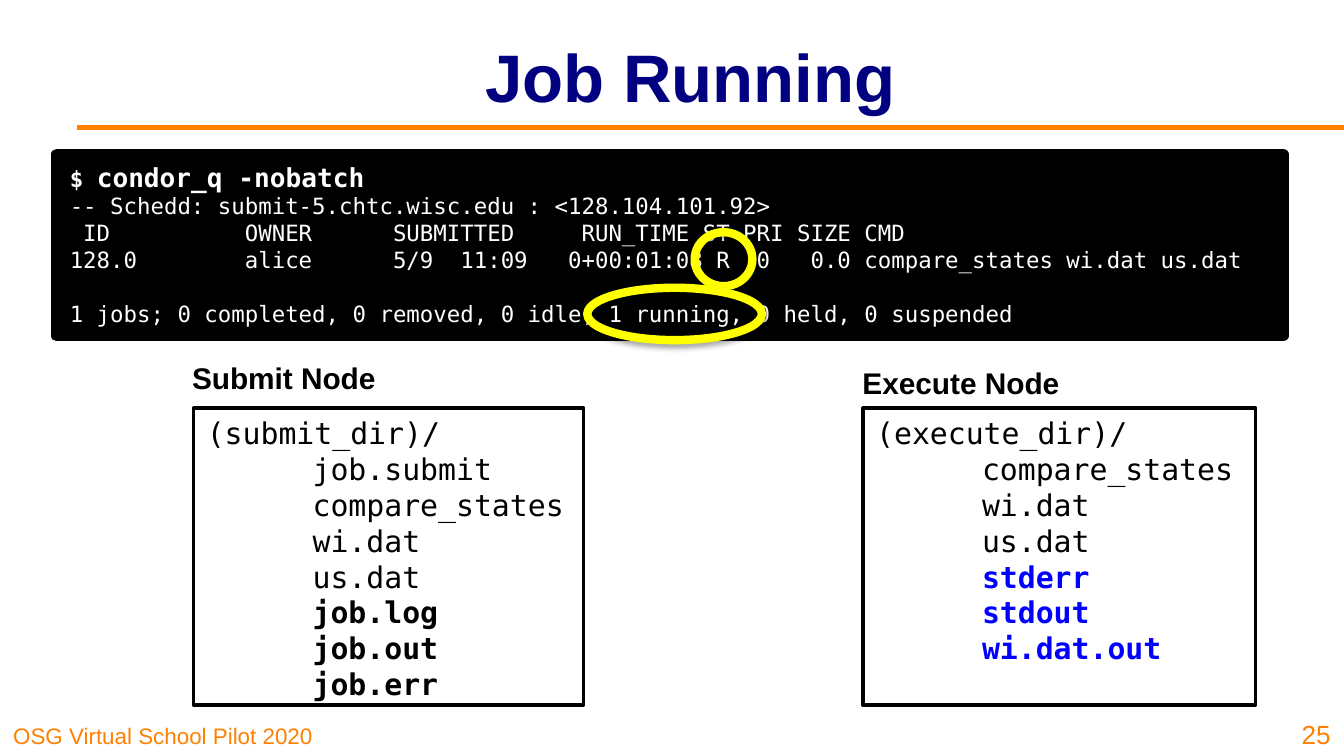
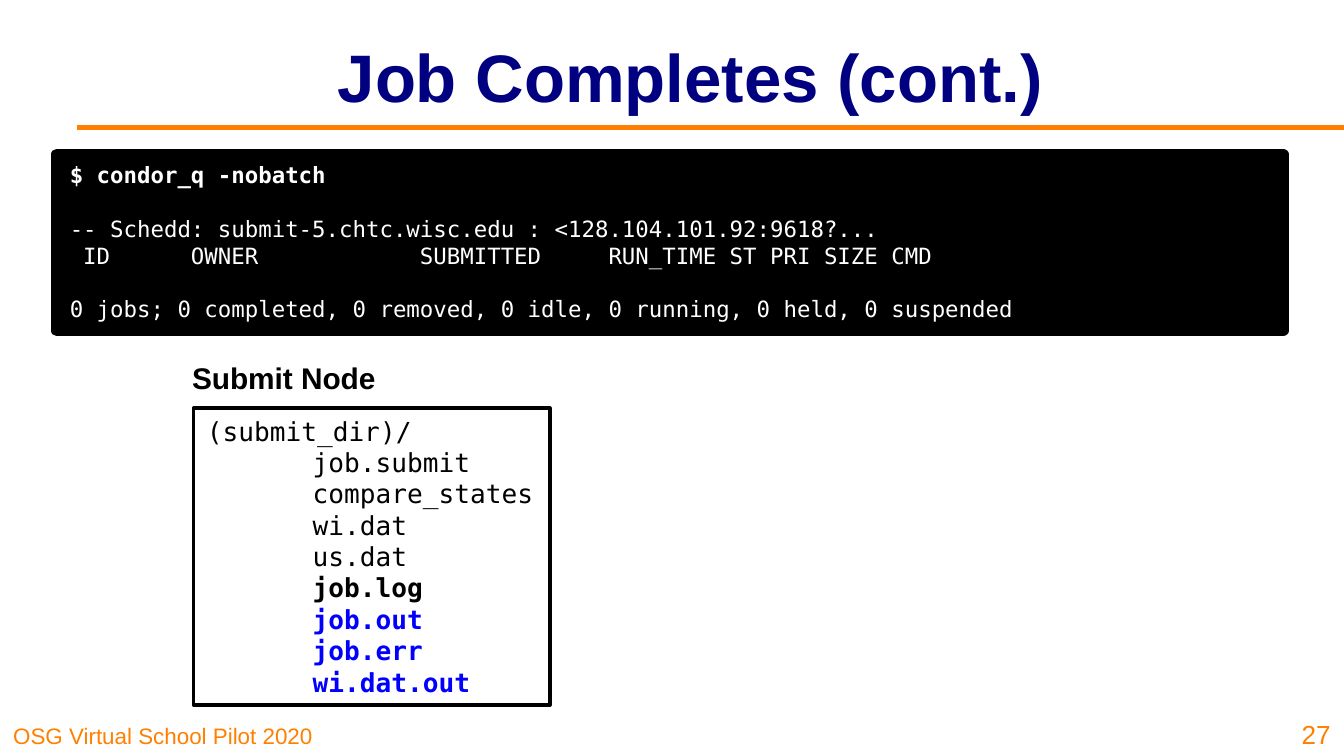
"""Build two slides that follow a batch job from running to completion."""
import lxml.etree
import pptx
import pptx.dml.color
import pptx.enum.shapes
import pptx.enum.text
import pptx.oxml.ns
import pptx.util

Cm, Pt = pptx.util.Cm, pptx.util.Pt
Align, Anchor = pptx.enum.text.PP_ALIGN, pptx.enum.text.MSO_ANCHOR
Shape = pptx.enum.shapes.MSO_SHAPE
RGB = pptx.dml.color.RGBColor.from_string

SANS, MONO = "Arial", "DejaVu Sans Mono"
THEME = {
    "colours": {
        "orange": RGB("FF8000"), "navy": RGB("000080"), "black": RGB("000000"),
        "white": RGB("FFFFFF"), "yellow": RGB("FFFF00"), "blue": RGB("0100FE"),
    },
    "type": {
        "title": ("navy", {"name": SANS, "size": Pt(36), "bold": True}),
        "footer": ("orange", {"name": SANS, "size": Pt(12), "bold": False}),
        "number": ("orange", {"name": SANS, "size": Pt(14), "bold": False}),
        "node": ("black", {"name": SANS, "size": Pt(16), "bold": True}),
        "output": ("white", {"name": MONO, "size": Pt(12), "bold": False}),
        "prompt": ("white", {"name": MONO, "size": Pt(12), "bold": True}),
        "command": ("white", {"name": MONO, "size": Pt(14), "bold": True}),
        "file": ("black", {"name": MONO, "bold": False}),
        "made": ("black", {"name": MONO, "bold": True}),
        "new": ("blue", {"name": MONO, "bold": True}),
    },
    "output_line": Pt(14.4),
}
COLOURS = THEME["colours"]


def write(frame, lines, anchor, align=Align.LEFT, indent=0, size=None):
    frame.word_wrap = True
    frame.vertical_anchor = anchor
    paragraph, gap = None, 0
    for runs in lines:
        if not runs:
            gap = THEME["output_line"]
            continue
        first = paragraph is None
        paragraph = frame.paragraphs[0] if first else frame.add_paragraph()
        paragraph.alignment = align
        if gap:
            paragraph.space_before, gap = gap, 0
        if indent and not first:
            paragraph._p.get_or_add_pPr().set("marL", str(int(indent)))
        for text, style in runs:
            run = paragraph.add_run()
            run.text = text
            colour, values = THEME["type"][style]
            for name, value in values.items():
                setattr(run.font, name, value)
            if size:
                run.font.size = size
            run.font.color.rgb = COLOURS[colour]


def outlined(slide, kind, place, fill, line, width):
    shape = slide.shapes.add_shape(kind, *map(Cm, place))
    shape.shadow.inherit = False
    if fill:
        shape.fill.solid()
        shape.fill.fore_color.rgb = COLOURS[fill]
    else:
        shape.fill.background()
    shape.line.color.rgb = COLOURS[line]
    shape.line.width = Pt(width)
    return shape


submit_files = ["job.submit", "compare_states", "wi.dat", "us.dat"]
stages = [
    {
        "title": "Job Running",
        "number": "25",
        "terminal_height": 3.43,
        "terminal": [
            [("$ ", "prompt"), ("condor_q -nobatch", "command")],
            [("-- Schedd: submit-5.chtc.wisc.edu : <128.104.101.92>", "output")],
            [(" ID          OWNER      SUBMITTED     RUN_TIME ST PRI SIZE CMD", "output")],
            [("128.0        alice      5/9  11:09   0+00:01:08 R  0   0.0 "
              "compare_states wi.dat us.dat", "output")],
            [],
            [("1 jobs; 0 completed, 0 removed, 0 idle, 1 running, 0 held, 0 suspended",
              "output")],
        ],
        "highlights": [(13.13, 4.39, 1.09, 1.02), (11.1, 5.44, 3.3, 0.99)],
        "file_size": Pt(16),
        "nodes": [
            {"name": "Submit Node", "label": (3.38, 6.6), "left": 3.66, "width": 7.37,
             "folder": "(submit_dir)/", "file": submit_files,
             "made": ["job.log", "job.out", "job.err"], "new": []},
            {"name": "Execute Node", "label": (16.05, 6.68), "left": 16.31, "width": 7.42,
             "folder": "(execute_dir)/", "file": submit_files[1:],
             "made": [], "new": ["stderr", "stdout", "wi.dat.out"]},
        ],
    },
    {
        "title": "Job Completes (cont.)",
        "number": "27",
        "terminal_height": 3.33,
        "terminal": [
            [("$ condor_q -nobatch", "prompt")],
            [],
            [("-- Schedd: submit-5.chtc.wisc.edu : <128.104.101.92:9618?...", "output")],
            [(" ID      OWNER            SUBMITTED     RUN_TIME ST PRI SIZE CMD", "output")],
            [],
            [("0 jobs; 0 completed, 0 removed, 0 idle, 0 running, 0 held, 0 suspended",
              "output")],
        ],
        "highlights": [],
        "file_size": Pt(14),
        "nodes": [
            {"name": "Submit Node", "label": (3.38, 6.6), "left": 3.66, "width": 6.73,
             "folder": "(submit_dir)/", "file": submit_files,
             "made": ["job.log"], "new": ["job.out", "job.err", "wi.dat.out"]},
        ],
    },
]

deck = pptx.Presentation()
deck.slide_width, deck.slide_height = Cm(25.4), Cm(14.29)

for stage in stages:
    slide = deck.slides.add_slide(deck.slide_layouts[6])

    rule = slide.shapes.add_connector(
        pptx.enum.shapes.MSO_CONNECTOR.STRAIGHT, Cm(1.45), Cm(2.41), Cm(25.4), Cm(2.41))
    rule.line.color.rgb = COLOURS["orange"]
    rule.line.width = Pt(3)
    lxml.etree.SubElement(rule._element.spPr, pptx.oxml.ns.qn("a:effectLst"))

    for text, style, place, anchor, align in [
        ("OSG Virtual School Pilot 2020", "footer", (0, 13.49, 6.3, 0.79),
         Anchor.BOTTOM, Align.LEFT),
        (stage["title"], "title", (3.4, 0.23, 19.3, 2.39), Anchor.MIDDLE, Align.CENTER),
        (stage["number"], "number", (24.23, 13.33, 1.17, 0.96), Anchor.BOTTOM, Align.RIGHT),
    ]:
        box = slide.shapes.add_textbox(*map(Cm, place))
        write(box.text_frame, [[(text, style)]], anchor, align)

    terminal = outlined(slide, Shape.RECTANGLE, (1.07, 2.92, 23.18, stage["terminal_height"]),
                        "black", "black", 6)
    write(terminal.text_frame, stage["terminal"], Anchor.TOP)

    for place in stage["highlights"]:
        ring = outlined(slide, Shape.OVAL, place, None, "yellow", 4.5)
        effects = ring._element.spPr.find(pptx.oxml.ns.qn("a:effectLst"))
        shadow = lxml.etree.SubElement(
            effects, pptx.oxml.ns.qn("a:outerShdw"), blurRad=str(Pt(3.1)),
            dist=str(Pt(1.8)), dir="5400000", rotWithShape="0")
        tint = lxml.etree.SubElement(shadow, pptx.oxml.ns.qn("a:srgbClr"), val="000000")
        lxml.etree.SubElement(tint, pptx.oxml.ns.qn("a:alpha"), val="35000")

    for node in stage["nodes"]:
        label = slide.shapes.add_textbox(*map(Cm, (*node["label"], 4.4, 1.09)))
        write(label.text_frame, [[(node["name"], "node")]], Anchor.MIDDLE)
        folder = outlined(slide, Shape.RECTANGLE, (node["left"], 7.72, node["width"], 5.61),
                          "white", "black", 2)
        listing = [[(node["folder"], "file")]]
        for style in ("file", "made", "new"):
            listing += [[(name, style)] for name in node[style]]
        write(folder.text_frame, listing, Anchor.TOP, indent=Cm(2), size=stage["file_size"])

deck.save("out.pptx")
